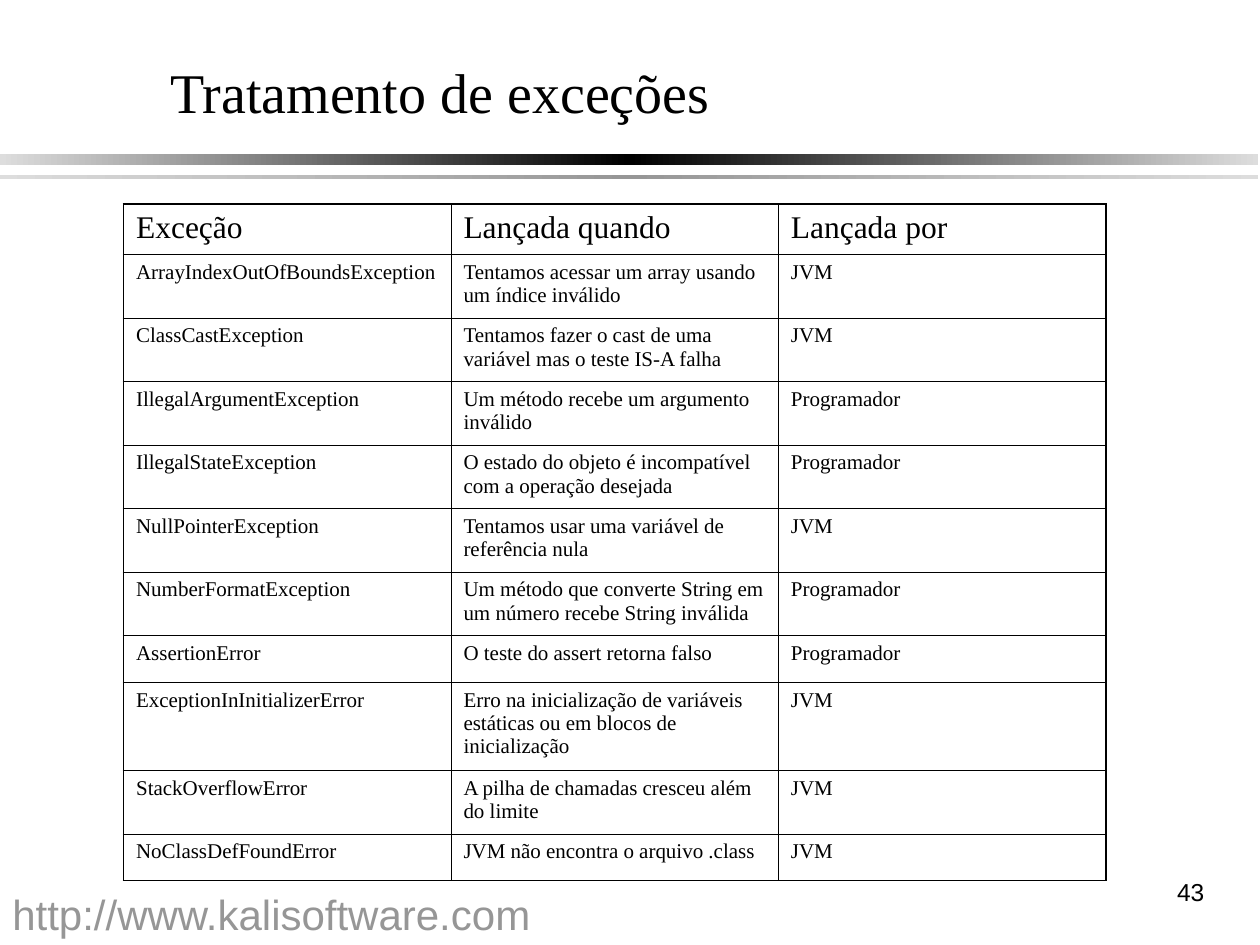
from copy import deepcopy
from dataclasses import dataclass

from lxml.etree import SubElement
from pptx import Presentation
from pptx.dml.color import RGBColor
from pptx.enum.shapes import MSO_SHAPE
from pptx.enum.text import MSO_ANCHOR, MSO_AUTO_SIZE, PP_ALIGN
from pptx.oxml import parse_xml
from pptx.oxml.ns import nsdecls, qn
from pptx.util import Cm, Pt

BLACK = RGBColor(0x00, 0x00, 0x00)
GREY = RGBColor(0x96, 0x96, 0x96)
PALE = RGBColor(0xDD, 0xDD, 0xDD)
SERIF = "Times New Roman"
SANS = "Arial"
THIN = Pt(0.45)
THICK = Pt(1.08)
COLUMN_WIDTH = Cm(6.6)
HEADER_HEIGHT = Cm(1.02)
ROW_HEIGHTS = {1: Cm(0.94), 2: Cm(1.28), 3: Cm(1.78)}
HEADINGS = ("Exceção", "Lançada quando", "Lançada por")


@dataclass(frozen=True)
class Bar:
    top: float
    height: float
    centre: RGBColor


@dataclass(frozen=True)
class Label:
    text: str
    left: float
    top: float
    width: float
    size: int
    color: RGBColor
    align: PP_ALIGN
    anchor: MSO_ANCHOR


@dataclass(frozen=True)
class Failure:
    name: str
    cause: str
    thrower: str
    lines: int = 2


BARS = (Bar(3.1, 0.23, BLACK), Bar(3.53, 0.08, GREY))
LABELS = (
    Label("http://www.kalisoftware.com", 0, 17.78, 11.71, 24, GREY,
          PP_ALIGN.LEFT, MSO_ANCHOR.TOP),
    Label("43", 19.25, 17.35, 5.28, 14, BLACK,
          PP_ALIGN.RIGHT, MSO_ANCHOR.MIDDLE),
)
FAILURES = (
    Failure("ArrayIndexOutOfBoundsException",
            "Tentamos acessar um array usando um índice inválido", "JVM"),
    Failure("ClassCastException",
            "Tentamos fazer o cast de uma variável mas o teste IS-A falha", "JVM"),
    Failure("IllegalArgumentException",
            "Um método recebe um argumento inválido", "Programador"),
    Failure("IllegalStateException",
            "O estado do objeto é incompatível com a operação desejada", "Programador"),
    Failure("NullPointerException",
            "Tentamos usar uma variável de referência nula", "JVM"),
    Failure("NumberFormatException",
            "Um método que converte String em um número recebe String inválida",
            "Programador"),
    Failure("AssertionError", "O teste do assert retorna falso", "Programador", 1),
    Failure("ExceptionInInitializerError",
            "Erro na inicialização de variáveis estáticas ou em blocos de inicialização",
            "JVM", 3),
    Failure("StackOverflowError", "A pilha de chamadas cresceu além do limite", "JVM"),
    Failure("NoClassDefFoundError", "JVM não encontra o arquivo .class", "JVM", 1),
)


def add_run(paragraph, text: str, size: int, face: str, color: RGBColor):
    run = paragraph.add_run()
    run.text = text
    run.font.size = Pt(size)
    run.font.name = face
    run.font.color.rgb = color
    return run


def draw_title(slide, text: str) -> None:
    title = slide.shapes.title
    title.left, title.top, title.width, title.height = Cm(3.18), Cm(0.94), Cm(21.59), Cm(1.8)
    frame = title.text_frame
    frame.auto_size = MSO_AUTO_SIZE.NONE
    frame.vertical_anchor = MSO_ANCHOR.MIDDLE
    heading = frame.paragraphs[0]
    heading.alignment = PP_ALIGN.LEFT
    run = add_run(heading, text, 32, SERIF, BLACK)
    shadow = parse_xml(
        f'<a:effectLst {nsdecls("a")}><a:outerShdw dist="17961" dir="2700000">'
        f'<a:srgbClr val="{PALE}"/></a:outerShdw></a:effectLst>')
    run.font.fill._xPr.find(qn("a:solidFill")).addnext(shadow)


def draw_bar(slide, bar: Bar) -> None:
    band = slide.shapes.add_shape(
        MSO_SHAPE.RECTANGLE, 0, Cm(bar.top), Cm(25.37), Cm(bar.height))
    band.shadow.inherit = False
    band.line.fill.background()
    band.fill.gradient()
    band.fill.gradient_angle = 0
    stop_list = band.fill._xPr.find(".//" + qn("a:gsLst"))
    stop_list.append(deepcopy(stop_list[0]))
    colors = (PALE, bar.centre, PALE)
    for stop, color, position in zip(band.fill.gradient_stops, colors, (0, 0.5, 1)):
        stop.color.rgb = color
        stop.position = position


def draw_label(slide, label: Label) -> None:
    frame = slide.shapes.add_textbox(
        Cm(label.left), Cm(label.top), Cm(label.width), Cm(1.27)).text_frame
    frame.word_wrap = True
    frame.vertical_anchor = label.anchor
    paragraph = frame.paragraphs[0]
    paragraph.alignment = label.align
    add_run(paragraph, label.text, label.size, SANS, label.color)


def set_borders(cell, outer: dict[str, bool]) -> None:
    properties = cell._tc.get_or_add_tcPr()
    for side, is_outer in outer.items():
        border = SubElement(properties, qn(f"a:ln{side}"), w=str(THICK if is_outer else THIN))
        SubElement(SubElement(border, qn("a:solidFill")), qn("a:srgbClr"), val=str(BLACK))


def draw_table(slide) -> None:
    rows = [HEADINGS] + [(f.name, f.cause, f.thrower) for f in FAILURES]
    heights = [HEADER_HEIGHT] + [ROW_HEIGHTS[f.lines] for f in FAILURES]
    last_row, last_column = len(rows) - 1, len(HEADINGS) - 1
    table = slide.shapes.add_table(
        len(rows), len(HEADINGS), Cm(2.49), Cm(4.11),
        COLUMN_WIDTH * len(HEADINGS), sum(heights)).table
    table.first_row = False
    table.horz_banding = False
    for column in table.columns:
        column.width = COLUMN_WIDTH
    for r, (texts, height) in enumerate(zip(rows, heights)):
        table.rows[r].height = height
        for c, text in enumerate(texts):
            cell = table.cell(r, c)
            add_run(cell.text_frame.paragraphs[0], text, 12 if r else 18, SERIF, BLACK)
            set_borders(cell, {"L": c == 0, "R": c == last_column,
                               "T": r == 0, "B": r == last_row})
            cell.fill.background()


def main() -> None:
    presentation = Presentation()
    presentation.slide_width, presentation.slide_height = Cm(25.4), Cm(19.05)
    slide = presentation.slides.add_slide(presentation.slide_layouts[5])
    for bar in BARS:
        draw_bar(slide, bar)
    draw_title(slide, "Tratamento de exceções")
    draw_table(slide)
    for label in LABELS:
        draw_label(slide, label)
    presentation.save("out.pptx")


if __name__ == "__main__":
    main()
